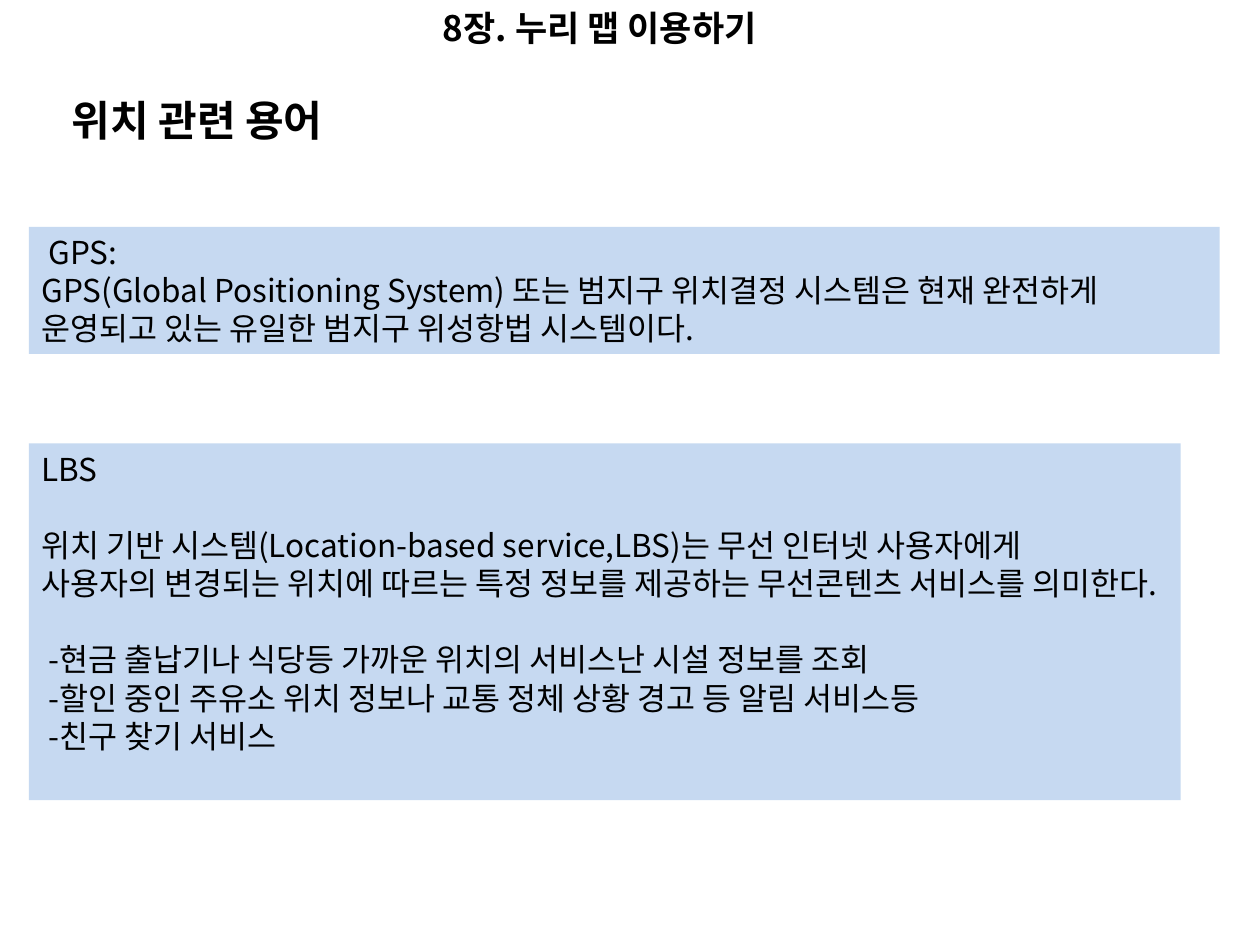
from pptx import Presentation
from pptx.dml.color import RGBColor
from pptx.enum.shapes import MSO_SHAPE
from pptx.enum.text import MSO_ANCHOR, PP_ALIGN
from pptx.oxml.ns import qn
from pptx.util import Inches, Pt

COLORS = {"panel": "C6D9F1", "text": "000000"}
FONT = "Noto Sans CJK KR"
LINE_RATIO = 1.21

GPS = [
    " GPS:",
    "GPS(Global Positioning System) 또는 범지구 위치결정 시스템은 현재 완전하게",
    "운영되고 있는 유일한 범지구 위성항법 시스템이다.",
]
LBS = [
    "LBS",
    "위치 기반 시스템(Location-based service,LBS)는 무선 인터넷 사용자에게\v"
    "사용자의 변경되는 위치에 따르는 특정 정보를 제공하는 무선콘텐츠 서비스를 의미한다.",
    " -현금 출납기나 식당등 가까운 위치의 서비스난 시설 정보를 조회",
    " -할인 중인 주유소 위치 정보나 교통 정체 상황 경고 등 알림 서비스등",
    " -친구 찾기 서비스",
]


def set_attrs(obj, values):
    for name, value in values.items():
        setattr(obj, name, value)


def write_text(sp, lines, size, bold=False, align=PP_ALIGN.LEFT, gaps=()):
    tf = sp.text_frame
    set_attrs(tf, {"word_wrap": True, "vertical_anchor": MSO_ANCHOR.TOP})
    pitch = Pt(size * LINE_RATIO)
    for i, line in enumerate(lines):
        p = tf.paragraphs[0] if i == 0 else tf.add_paragraph()
        p.text = line
        set_attrs(p, {
            "alignment": align,
            "line_spacing": pitch,
            "space_before": pitch if i in gaps else Pt(0),
        })
        for r in p.runs:
            set_attrs(r.font, {"name": FONT, "size": Pt(size), "bold": bold})
            r.font.color.rgb = RGBColor.from_string(COLORS["text"])
            ea = r.font._element.makeelement(qn("a:ea"), {"typeface": FONT})
            r.font._element.append(ea)


def add_heading(s, box, text, size, align=PP_ALIGN.LEFT):
    sp = s.shapes.add_textbox(*map(Inches, box))
    write_text(sp, [text], size, bold=True, align=align)


def add_panel(s, box, lines, gaps=()):
    sp = s.shapes.add_shape(MSO_SHAPE.RECTANGLE, *map(Inches, box))
    sp.shadow.inherit = False
    sp.fill.solid()
    sp.fill.fore_color.rgb = RGBColor.from_string(COLORS["panel"])
    sp.line.fill.background()
    write_text(sp, lines, 18, gaps=gaps)


def main():
    prs = Presentation()
    set_attrs(prs, {"slide_width": Inches(10), "slide_height": Inches(7.5)})
    s = prs.slides.add_slide(prs.slide_layouts[6])
    add_panel(s, (0.23, 1.8, 9.45, 1.01), GPS)
    add_panel(s, (0.23, 3.52, 9.14, 2.83), LBS, gaps=(1, 2))
    add_heading(s, (0.62, 0, 8.28, 0.44), "8장. 누리 맵 이용하기", 20, PP_ALIGN.CENTER)
    add_heading(s, (0.47, 0.7, 8.05, 0.5), "위치 관련 용어", 24)
    prs.save("out.pptx")


if __name__ == "__main__":
    main()
